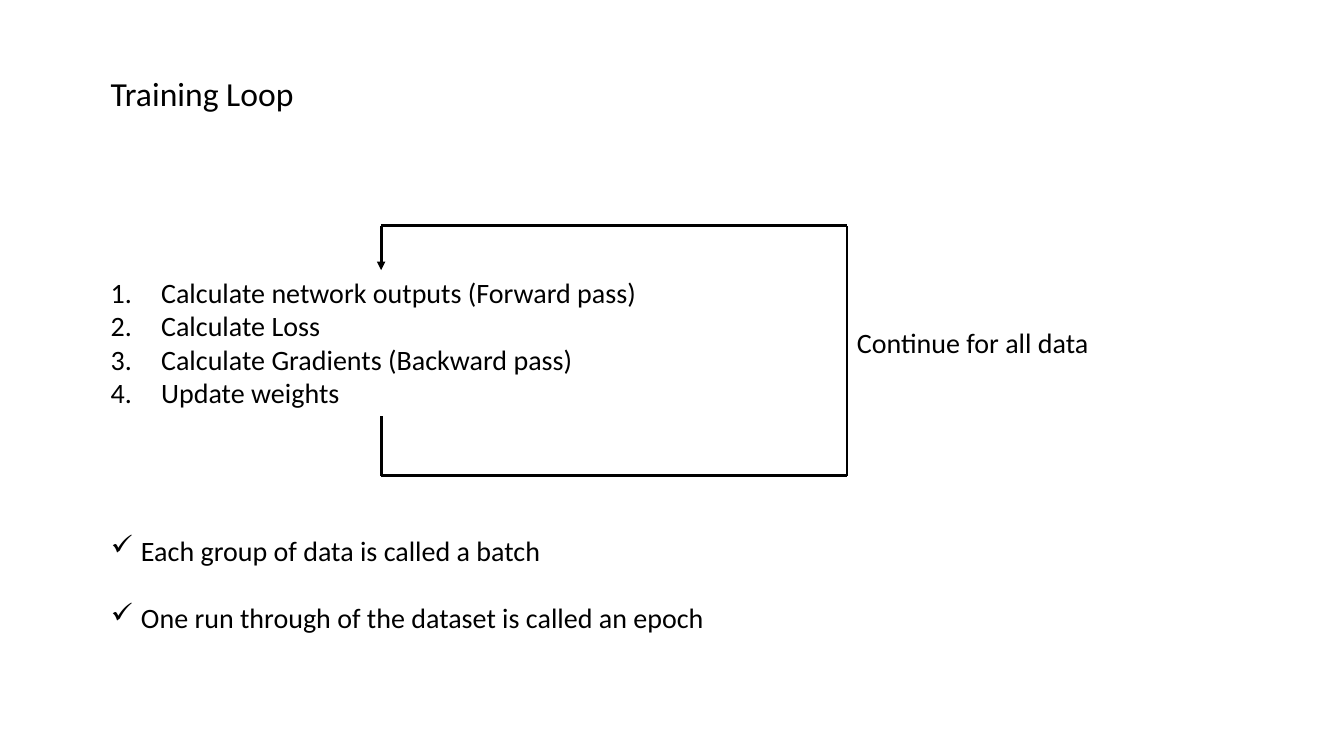
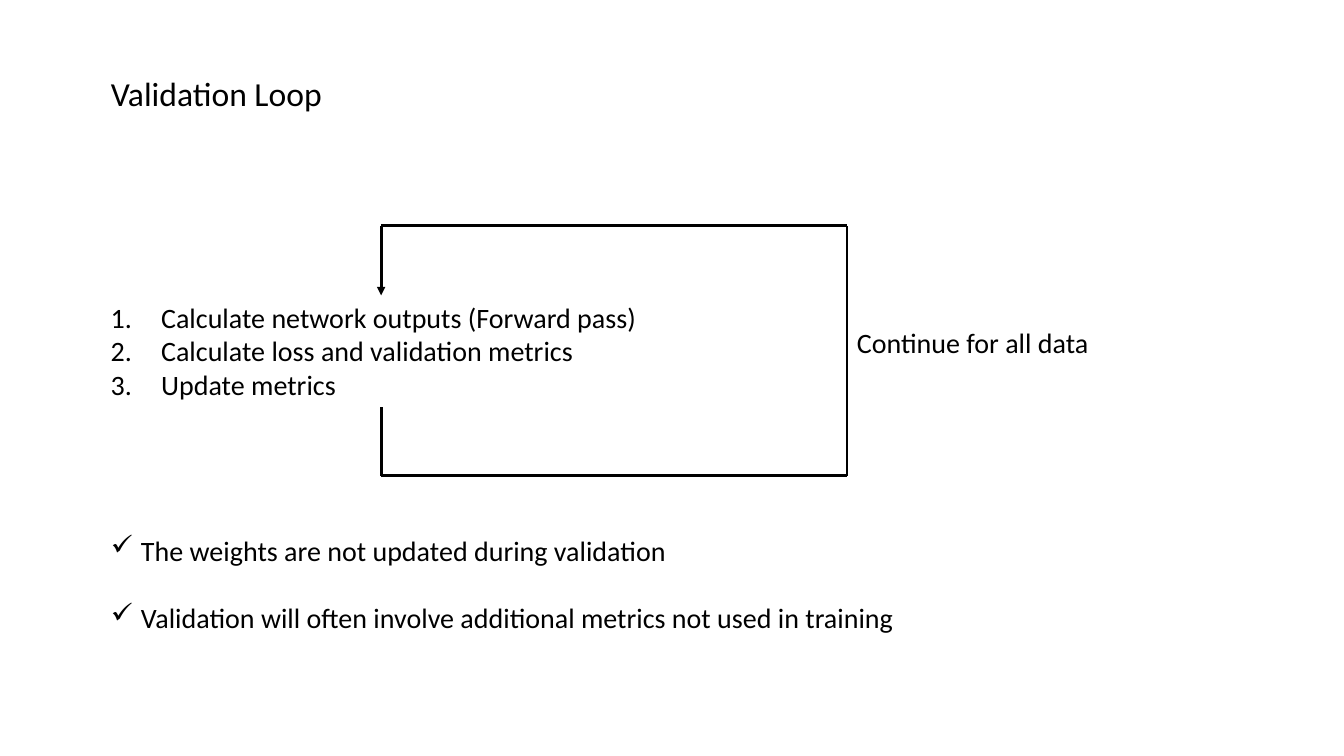
import dataclasses
import typing

import pptx
import pptx.dml.color
import pptx.enum.shapes
import pptx.enum.text
import pptx.oxml.ns
import pptx.presentation
import pptx.shapes.autoshape
import pptx.shapes.connector
import pptx.slide
import pptx.util
from lxml import etree

EMU_PER_PX = 9144  # 100 px to the inch
SLIDE_SIZE = (1333, 750)
COLORS = {"ink": "000000", "paper": "FFFFFF"}
FONT = "Calibri"
TITLE_PT, BODY_PT, LINE_PT = 24, 20, 2

MARGIN = 100
STEPS_WIDTH = 556
STEP_HEIGHT, STEPS_PADDING = 34, 9
LOOP_LEFT = MARGIN + STEPS_WIDTH // 2
LOOP_RIGHT, LOOP_TOP, LOOP_BOTTOM = 840, 224, 472
TOP_SIDE, BOTTOM_SIDE = 0, 2


@dataclasses.dataclass(frozen=True)
class Box:
    left: int
    top: int
    width: int
    height: int


@dataclasses.dataclass(frozen=True)
class ListStyle:
    """Bullet tag and attributes, hanging indent in px, and line spacing."""
    tag: str
    attributes: dict[str, str]
    indent: int
    line_spacing: float = 1.0


@dataclasses.dataclass(frozen=True)
class LoopSlide:
    title: str
    title_width: int
    steps_top: int
    steps: tuple[str, ...]
    notes: tuple[str, ...]


NUMBERED = ListStyle("a:buAutoNum", {"type": "arabicPeriod"}, 50)
CHECKED = ListStyle("a:buChar", {"char": "✓"}, 30, 2.0)
REPEAT_BOX = Box(LOOP_RIGHT, 318, 252, 44)
NOTES_BOX = Box(MARGIN, 491, 981, 135)

LOOPS = (
    LoopSlide(
        "Training Loop", 203, 268,
        ("Calculate network outputs (Forward pass)",
         "Calculate Loss",
         "Calculate Gradients (Backward pass)",
         "Update weights"),
        ("Each group of data is called a batch",
         "One run through of the dataset is called an epoch"),
    ),
    LoopSlide(
        "Validation Loop", 232, 293,
        ("Calculate network outputs (Forward pass)",
         "Calculate loss and validation metrics",
         "Update metrics"),
        ("The weights are not updated during validation",
         "Validation will often involve additional metrics not used in training"),
    ),
)


def px(length: int) -> pptx.util.Emu:
    return pptx.util.Emu(length * EMU_PER_PX)


def color(name: str) -> pptx.dml.color.RGBColor:
    return pptx.dml.color.RGBColor.from_string(COLORS[name])


def add_text(
    slide: pptx.slide.Slide,
    box: Box,
    lines: typing.Sequence[str],
    size: int = BODY_PT,
    list_style: typing.Optional[ListStyle] = None,
) -> pptx.shapes.autoshape.Shape:
    """Add a text box; lists wrap, single labels do not."""
    shape = slide.shapes.add_textbox(
        px(box.left), px(box.top), px(box.width), px(box.height))
    frame = shape.text_frame
    frame.word_wrap = list_style is not None
    frame.auto_size = pptx.enum.text.MSO_AUTO_SIZE.SHAPE_TO_FIT_TEXT
    for index, line in enumerate(lines):
        paragraph = frame.add_paragraph() if index else frame.paragraphs[0]
        if list_style:
            paragraph.line_spacing = list_style.line_spacing
            properties = paragraph._p.get_or_add_pPr()
            properties.set("marL", str(px(list_style.indent)))
            properties.set("indent", str(px(-list_style.indent)))
            etree.SubElement(properties, pptx.oxml.ns.qn(list_style.tag),
                             list_style.attributes)
        run = paragraph.add_run()
        run.text = line
        run.font.name = FONT
        run.font.size = pptx.util.Pt(size)
        run.font.color.rgb = color("ink")
    return shape


def add_line(
    slide: pptx.slide.Slide, start: tuple[int, int], end: tuple[int, int]
) -> pptx.shapes.connector.Connector:
    line = slide.shapes.add_connector(
        pptx.enum.shapes.MSO_CONNECTOR.STRAIGHT, *map(px, start + end))
    line.line.color.rgb = color("ink")
    line.line.width = pptx.util.Pt(LINE_PT)
    etree.SubElement(line._element.spPr, pptx.oxml.ns.qn("a:effectLst"))
    return line


def add_loop(slide: pptx.slide.Slide, steps: pptx.shapes.autoshape.Shape,
             box: Box) -> None:
    """Lead from the bottom of the steps round the right, back to their top."""
    corners = (
        (LOOP_LEFT, box.top + box.height),
        (LOOP_LEFT, LOOP_BOTTOM),
        (LOOP_RIGHT, LOOP_BOTTOM),
        (LOOP_RIGHT, LOOP_TOP),
        (LOOP_LEFT, LOOP_TOP),
        (LOOP_LEFT, box.top),
    )
    lines = [add_line(slide, start, end)
             for start, end in zip(corners, corners[1:])]
    lines[0].begin_connect(steps, BOTTOM_SIDE)
    lines[-1].end_connect(steps, TOP_SIDE)
    etree.SubElement(lines[-1].line._get_or_add_ln(),
                     pptx.oxml.ns.qn("a:tailEnd"), type="triangle")


def add_loop_slide(deck: pptx.presentation.Presentation,
                   content: LoopSlide) -> None:
    slide = deck.slides.add_slide(deck.slide_layouts[6])
    slide.background.fill.solid()
    slide.background.fill.fore_color.rgb = color("paper")
    add_text(slide, Box(MARGIN, 67, content.title_width, 50),
             [content.title], TITLE_PT)
    steps_box = Box(MARGIN, content.steps_top, STEPS_WIDTH,
                    STEP_HEIGHT * len(content.steps) + STEPS_PADDING)
    steps = add_text(slide, steps_box, content.steps, list_style=NUMBERED)
    add_loop(slide, steps, steps_box)
    add_text(slide, REPEAT_BOX, ["Continue for all data"])
    add_text(slide, NOTES_BOX, content.notes, list_style=CHECKED)


def main() -> None:
    deck = pptx.Presentation()
    deck.slide_width, deck.slide_height = map(px, SLIDE_SIZE)
    for content in LOOPS:
        add_loop_slide(deck, content)
    deck.save("out.pptx")


if __name__ == "__main__":
    main()
